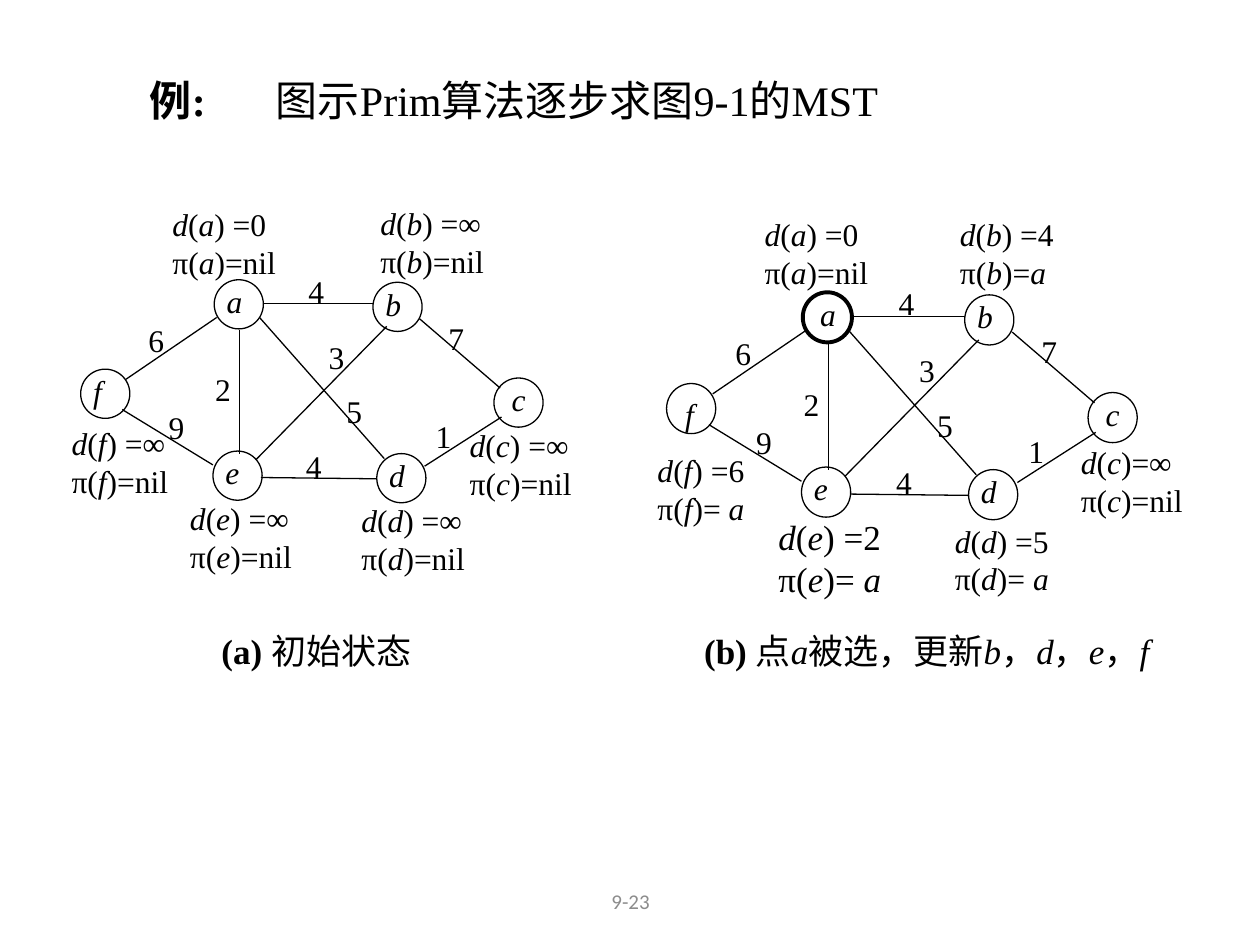
from lxml.etree import SubElement
from pptx import Presentation
from pptx.dml.color import RGBColor
from pptx.enum.shapes import MSO_CONNECTOR, MSO_SHAPE
from pptx.enum.text import MSO_ANCHOR, PP_ALIGN
from pptx.oxml.ns import qn
from pptx.util import Inches, Pt


def color(value):
    return RGBColor.from_string(value)


def add_text(x, y, w, h, lines, size=18, font="Times New Roman", fill="000000",
             align=PP_ALIGN.LEFT, bold_first=False):
    tf = s.shapes.add_textbox(Inches(x), Inches(y), Inches(w), Inches(h)).text_frame
    tf.word_wrap = True
    for i, line in enumerate(lines):
        p = tf.paragraphs[0] if i == 0 else tf.add_paragraph()
        p.alignment = align
        for j, part in enumerate(line.split("*")):
            if part:
                r = p.add_run()
                r.text = part
                r.font.size, r.font.name = Pt(size), font
                r.font.italic, r.font.bold = j % 2 == 1, bold_first and j == 0
                r.font.color.rgb = color(fill)
    return tf


prs = Presentation()
prs.slide_width, prs.slide_height = Inches(10), Inches(7.5)
s = prs.slides.add_slide(prs.slide_layouts[5])

title = s.shapes.title
title.left, title.top, title.width, title.height = Inches(1.09), Inches(0.54), Inches(7.92), Inches(0.5)
tf = title.text_frame
tf.vertical_anchor = MSO_ANCHOR.TOP
p = tf.paragraphs[0]
p.alignment = PP_ALIGN.LEFT
for text, bold in [("例: \t", True), ("图示Prim算法逐步求图9-1的MST", False)]:
    r = p.add_run()
    r.text = text
    r.font.size, r.font.name, r.font.bold = Pt(24), "Times New Roman", bold
    r.font.color.rgb = color("000000")

tf = add_text(3.42, 6.95, 3.17, 0.4, ["9-23"], 12, "Calibri", "8C8C8C", PP_ALIGN.CENTER)
tf.vertical_anchor = MSO_ANCHOR.MIDDLE

nodes = {"a": (1.06, 0), "b": (2.32, 0.02), "c": (3.28, 0.78),
         "d": (2.35, 1.38), "e": (1.05, 1.36), "f": (0, 0.71)}
edges = [(1.45, 0.19, 2.32, 0.19), (1.43, 1.57, 2.35, 1.58), (1.26, 0.4, 1.26, 1.38),
         (2.69, 0.31, 3.33, 0.86), (2.43, 0.37, 1.39, 1.43), (1.42, 0.3, 2.41, 1.42),
         (3.34, 1.09, 2.73, 1.48), (0.36, 0.79, 1.08, 0.3), (0.33, 1.03, 1.05, 1.47)]
weights = [("4", 1.71, -0.11), ("7", 2.82, 0.26), ("5", 2.01, 0.84), ("1", 2.72, 1.04),
           ("2", 0.97, 0.67), ("4", 1.69, 1.28), ("3", 1.87, 0.41), ("6", 0.44, 0.28),
           ("9", 0.6, 0.97)]

graphs = [
    {"left": 0.64, "top": 2.22, "scale": 1, "selected": "", "nudge": {},
     "caption": (1.66, 2.04, "(a) *", "*初始状态"),
     "labels": [("a", 1.27, 1.58, ") =0", ")=nil", 18), ("b", 2.92, 1.57, ") =∞", ")=nil", 18),
                ("c", 3.63, 3.33, ") =∞", ")=nil", 18), ("d", 2.77, 3.93, ") =∞", ")=nil", 18),
                ("e", 1.41, 3.91, ") =∞", ")=nil", 18), ("f", 0.47, 3.32, ") =∞", ")=nil", 18)]},
    {"left": 5.29, "top": 2.32, "scale": 1.02, "selected": "a",
     "nudge": {"a": (0.04, 0), "f": (0.05, 0.07)},
     "caption": (5.49, 3.83, "(b) *", "*点*a*被选，更新*b*，*d*，*e*，*f"),
     "labels": [("a", 5.97, 1.66, ") =0", ")=nil", 18), ("b", 7.52, 1.66, ") =4", ")=*a", 18),
                ("c", 8.48, 3.47, ")=∞", ")=nil", 18), ("d", 7.48, 4.09, ") =5", ")= *a", 18),
                ("e", 6.08, 4.04, ") =2", ")= *a", 20), ("f", 5.12, 3.53, ") =6", ")= *a", 18)]},
]

for graph in graphs:
    left, top, scale = graph["left"], graph["top"], graph["scale"]

    for name, (dx, dy) in nodes.items():
        x, y = left + dx * scale, top + dy * scale
        sp = s.shapes.add_shape(MSO_SHAPE.OVAL, Inches(x), Inches(y), Inches(0.39), Inches(0.39 * scale))
        sp.shadow.inherit = False
        sp.fill.solid()
        sp.fill.fore_color.rgb = color("FFFFFF")
        sp.line.color.rgb = color("000000")
        sp.line.width = Pt(2.25 if name == graph["selected"] else 0.75)
        nx, ny = graph["nudge"].get(name, (0, 0))
        centred = name == "c"
        add_text(x + nx, y - 0.03 + ny, 0.39 if centred else 0.5, 0.46, [f"*{name}*"],
                 align=PP_ALIGN.CENTER if centred else PP_ALIGN.LEFT)

    for x1, y1, x2, y2 in edges:
        line = s.shapes.add_connector(
            MSO_CONNECTOR.STRAIGHT,
            Inches(left + x1 * scale), Inches(top + y1 * scale),
            Inches(left + x2 * scale), Inches(top + y2 * scale))
        line.line.color.rgb = color("000000")
        line.line.width = Pt(0.75)
        SubElement(line._element.spPr, qn("a:effectLst"))

    for weight, dx, dy in weights:
        add_text(left + dx * scale, top + dy * scale, 0.5, 0.46, [weight])

    for name, x, y, distance, parent, size in graph["labels"]:
        add_text(x, y, 1.17, 0.74, [f"*d*(*{name}*{distance}", f"π(*{name}*{parent}"], size)

    x, w, tag, text = graph["caption"]
    add_text(x, 4.95, w, 0.4, [tag + text], 20, bold_first=True)

prs.save("out.pptx")
